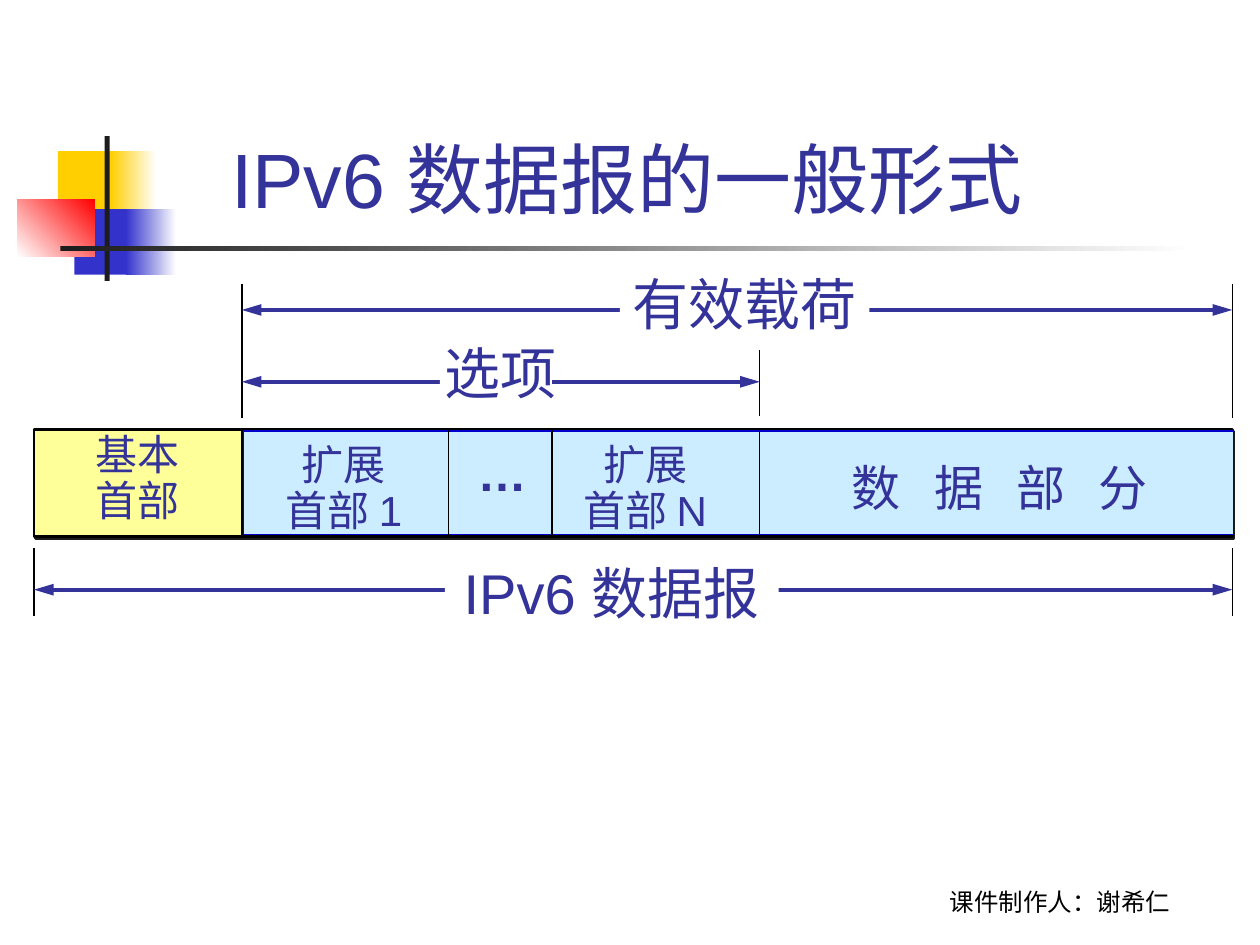
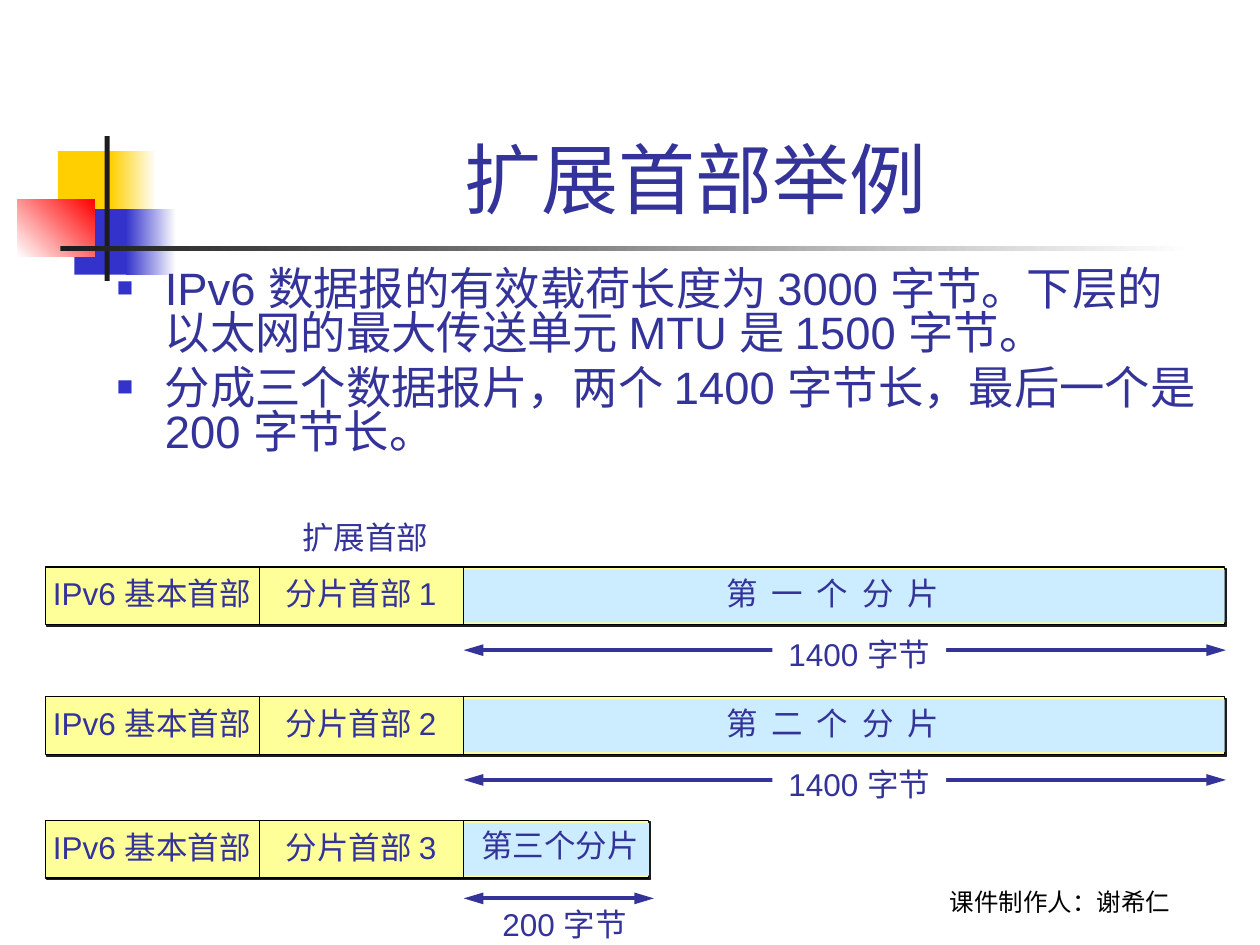
from dataclasses import dataclass
from typing import Any

import pptx
import pptx.dml.color
import pptx.enum.shapes
import pptx.enum.text
import pptx.oxml
import pptx.oxml.ns
import pptx.util
from lxml import etree
from pptx.util import Inches

ALIGN = pptx.enum.text.PP_ALIGN
ANCHOR = pptx.enum.text.MSO_ANCHOR
FIT = pptx.enum.text.MSO_AUTO_SIZE

COLORS = {
    "text": "333399",
    "header": "FFFF99",
    "payload": "CCECFF",
    "payload_edge": "0000CC",
    "black": "000000",
    "white": "FFFFFF",
    "dark": "1C1C1C",
    "gold": "FFCF01",
    "blue": "3333CC",
    "red": "FF0000",
}
LABEL_FRAME = {"word_wrap": False, "auto_size": FIT.NONE,
               "margin_left": 0, "margin_right": 0}
BLOCK_FRAME = {"word_wrap": True, "auto_size": FIT.NONE}
BOTTOM_FRAME = {**BLOCK_FRAME, "vertical_anchor": ANCHOR.BOTTOM}


@dataclass(frozen=True)
class Box:
    left: float
    top: float
    width: float
    height: float
    fill: str
    fade_to: str = ""
    angle: int = 0
    edge: str = ""
    edge_width: float = 0.75
    shadow: bool = False


@dataclass(frozen=True)
class Label:
    left: float
    top: float
    width: float
    height: float
    text: str
    size: float = 18
    spacing: float = 1.0
    bold: bool = False
    tracking: float = 0
    fill: str = ""


@dataclass(frozen=True)
class Rule:
    x1: float
    y1: float
    x2: float
    y2: float
    arrow: bool = False


@dataclass(frozen=True)
class Fragment:
    number: int
    top: float
    end: float
    payload: Label
    length: Label
    arrow_drop: float
    arrow_end: float


ORNAMENT = [
    Box(0.46, 1.2, 0.48, 0.52, "gold"),
    Box(0.88, 1.2, 0.36, 0.52, "gold", "white"),
    Box(0.59, 1.66, 0.46, 0.52, "blue"),
    Box(1, 1.66, 0.4, 0.52, "blue", "white"),
    Box(0.14, 1.58, 0.61, 0.46, "white", "red", 45),
    Box(0.83, 1.08, 0.04, 1.15, "dark"),
    Box(0.48, 1.95, 9, 0.04, "dark", "white"),
]


def rgb(color: str) -> pptx.dml.color.RGBColor:
    return pptx.dml.color.RGBColor.from_string(COLORS[color])


def apply(target: Any, values: dict[str, Any]) -> None:
    for name, value in values.items():
        setattr(target, name, value)


def child(parent: Any, tag: str, **attributes: str) -> Any:
    return etree.SubElement(parent, pptx.oxml.ns.qn(tag), attributes)


def place(item: Box | Label) -> tuple[int, ...]:
    return tuple(Inches(v) for v in (item.left, item.top, item.width, item.height))


def draw_box(slide: Any, box: Box) -> None:
    shape = slide.shapes.add_shape(
        pptx.enum.shapes.MSO_SHAPE.RECTANGLE, *place(box))
    shape.shadow.inherit = False
    if box.fade_to:
        shape.fill.gradient()
        shape.fill.gradient_angle = box.angle
        for stop, color in zip(shape.fill.gradient_stops, (box.fill, box.fade_to)):
            stop.color.rgb = rgb(color)
    else:
        shape.fill.solid()
        shape.fill.fore_color.rgb = rgb(box.fill)
    if box.edge:
        shape.line.color.rgb = rgb(box.edge)
        shape.line.width = pptx.util.Pt(box.edge_width)
    else:
        shape.line.fill.background()
    if box.shadow:
        effects = shape._element.spPr.find(pptx.oxml.ns.qn("a:effectLst"))
        shadow = child(effects, "a:outerShdw", blurRad="0", dist="17780",
                       dir="2700000", algn="ctr", rotWithShape="0")
        child(shadow, "a:srgbClr", val=COLORS["dark"])


def draw_rule(slide: Any, rule: Rule) -> None:
    connector = slide.shapes.add_connector(
        pptx.enum.shapes.MSO_CONNECTOR.STRAIGHT,
        *(Inches(v) for v in (rule.x1, rule.y1, rule.x2, rule.y2)))
    connector.line.color.rgb = rgb("text" if rule.arrow else "black")
    connector.line.width = pptx.util.Pt(2.25 if rule.arrow else 0.75)
    if rule.arrow:
        line = connector.line._get_or_add_ln()
        for tag in ("a:headEnd", "a:tailEnd"):
            child(line, tag, type="triangle", w="med", len="lg")
    child(connector._element.spPr, "a:effectLst")


def draw_text(slide: Any, label: Label, frame_format: dict[str, Any] = LABEL_FRAME,
              font: str = "Arial", color: str = "text", bullets: bool = False) -> None:
    box = slide.shapes.add_textbox(*place(label))
    if label.fill:
        box.fill.solid()
        box.fill.fore_color.rgb = rgb(label.fill)
    frame = box.text_frame
    apply(frame, frame_format)
    for index, text in enumerate(label.text.split("\n")):
        paragraph = frame.add_paragraph() if index else frame.paragraphs[0]
        paragraph.alignment = ALIGN.LEFT if bullets else ALIGN.CENTER
        paragraph.line_spacing = label.spacing
        if bullets:
            if index:
                paragraph.space_before = pptx.util.Pt(7)
            add_bullet(paragraph)
        run = paragraph.add_run()
        run.text = text
        apply(run.font, {"name": font, "size": pptx.util.Pt(label.size),
                         "bold": label.bold})
        run.font.color.rgb = rgb(color)
        if label.tracking:
            run._r.get_or_add_rPr().set("spc", str(round(label.tracking * 100)))


def add_bullet(paragraph: Any) -> None:
    properties = paragraph._p.get_or_add_pPr()
    properties.set("marL", str(Inches(0.38)))
    properties.set("indent", str(-Inches(0.38)))
    child(child(properties, "a:buClr"), "a:srgbClr", val=COLORS["blue"])
    child(properties, "a:buSzPct", val="60000")
    child(properties, "a:buFont", typeface="Arial")
    child(properties, "a:buChar", char="■")


def start_slide(deck: Any, title: Label) -> Any:
    slide = deck.slides.add_slide(deck.slide_layouts[6])
    for box in ORNAMENT:
        draw_box(slide, box)
    footer = Label(6.83, 6.82, 3.17, 0.5, "课件制作人：谢希仁", 14)
    draw_text(slide, footer, BOTTOM_FRAME, "Karla", "black")
    draw_text(slide, title, BOTTOM_FRAME)
    return slide


def draw_all(slide: Any, items: list[Box | Label | Rule]) -> None:
    painters = {Box: draw_box, Label: draw_text, Rule: draw_rule}
    for item in items:
        painters[type(item)](slide, item)


def build_datagram(deck: Any) -> None:
    slide = start_slide(deck, Label(1.18, 0.23, 7.6, 1.6, "IPv6 数据报的一般形式", 44))
    left, options, options_end, right = 0.27, 1.92, 6.03, 9.78
    draw_all(slide, [
        Box(left, 3.41, 9.51, 0.85, "header", edge="black", edge_width=1.5, shadow=True),
        Box(1.93, 3.42, 7.86, 0.82, "payload", edge="payload_edge"),
        *(Rule(x, 3.41, x, 4.26) for x in (options, 3.56, 4.38, options_end)),
        Label(0.66, 3.4, 0.86, 0.82, "基本\n首部", 24, 0.9),
        Label(2.13, 3.48, 1.2, 0.82, "扩展\n首部 1", 24, 0.9),
        Label(4.49, 3.48, 1.26, 0.82, "扩展\n首部 N", 24, 0.9),
        Label(3.64, 3.46, 0.69, 0.57, "…", 28, bold=True),
        Label(6.67, 3.58, 2.53, 0.57, "数 据 部 分", 28, tracking=6.4),
        *(Rule(x, 2.25, x, 3.32) for x in (options, right)),
        Rule(options_end, 2.78, options_end, 3.3),
        *(Rule(x, 4.35, x, 4.89) for x in (left, right)),
        Rule(options, 3.03, options_end, 3.03, arrow=True),
        Box(3.49, 2.78, 0.89, 0.45, "white"),
        Label(3.43, 2.64, 1.09, 0.64, "选项", 32),
        Rule(left, 4.68, right, 4.68, arrow=True),
        Label(3.53, 4.38, 2.65, 0.64, "IPv6 数据报", 32, fill="white"),
        Rule(options, 2.46, right, 2.46, arrow=True),
        Label(4.92, 2.09, 1.98, 0.64, "有效载荷", 32, fill="white"),
    ])


def draw_fragment(slide: Any, fragment: Fragment) -> None:
    left, extension, payload, height = 0.36, 2.06, 3.68, 0.46
    top, end = fragment.top, fragment.end
    arrow_y = top + fragment.arrow_drop
    draw_all(slide, [
        Box(left, top, end - left, height, "header", edge="black", shadow=True),
        Box(payload, top + 0.02, end - payload, 0.42, "payload"),
        *(Rule(x, top, x, top + height) for x in (extension, payload)),
        Label(0.29, top + 0.01, 1.83, 0.4, "IPv6 基本首部"),
        Label(2.14, top + 0.01, 1.45, 0.4, f"分片首部 {fragment.number}"),
        fragment.payload,
        Rule(payload, arrow_y, fragment.arrow_end, arrow_y, arrow=True),
        fragment.length,
    ])


def build_fragments(deck: Any) -> None:
    slide = start_slide(deck, Label(1.26, 0.23, 8.52, 1.6, "扩展首部举例", 44))
    explanation = (
        "IPv6 数据报的有效载荷长度为 3000 字节。下层的以太网的最大传送单元 MTU 是 1500 字节。\n"
        "分成三个数据报片，两个 1400 字节长，最后一个是 200 字节长。"
    )
    draw_text(slide, Label(0.83, 2.1, 8.81, 1.81, explanation, 25.9, 0.8),
              BLOCK_FRAME, bullets=True)
    fragments = [
        Fragment(number, top, 9.72,
                 Label(5.66, top + 0.01, 1.9, 0.4, f"第 {ordinal} 个 分 片", tracking=1.9),
                 Label(6.13, top + 0.49, 1.38, 0.4, "1400 字节", fill="white"),
                 0.66, 9.73)
        for number, top, ordinal in ((1, 4.5, "一"), (2, 5.53, "二"))
    ]
    fragments.append(Fragment(
        3, 6.51, 5.15, Label(3.72, 6.51, 1.45, 0.4, "第三个分片"),
        Label(3.86, 7.13, 1.24, 0.4, "200 字节"), 0.62, 5.19))
    for fragment in fragments:
        draw_fragment(slide, fragment)
    draw_text(slide, Label(2.3, 4.06, 1.2, 0.4, "扩展首部"))


def main() -> None:
    deck = pptx.Presentation()
    apply(deck, {"slide_width": Inches(10), "slide_height": Inches(7.5)})
    build_datagram(deck)
    build_fragments(deck)
    deck.save("out.pptx")


if __name__ == "__main__":
    main()
